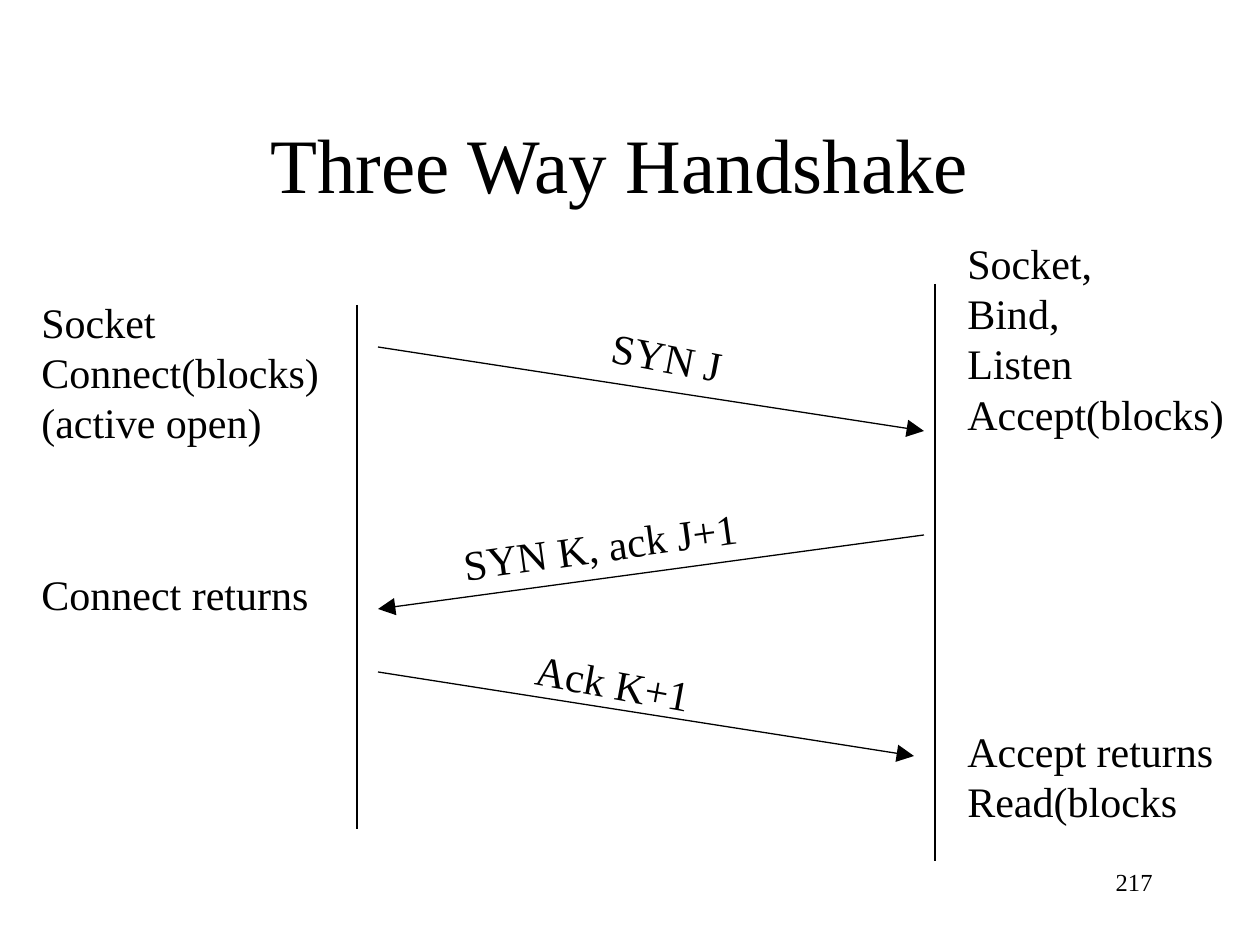
"""Build the three way handshake sequence diagram slide."""
from typing import NamedTuple

from lxml import etree
from pptx import Presentation
from pptx import util as u
from pptx.dml.color import RGBColor
from pptx.enum import shapes, text
from pptx.oxml import ns

EMU_PER_PX = 914400 / 126
FONT = "Times New Roman"
COLORS = {"ink": "000000"}


class Box(NamedTuple):
    left: int
    top: int
    width: int
    height: int


class Label(NamedTuple):
    box: Box
    lines: tuple[str, ...]
    rotation: float = 0


class Line(NamedTuple):
    start: tuple[int, int]
    end: tuple[int, int]
    arrow: bool = False


LINES = [
    Line((357, 305), (357, 829)),
    Line((935, 284), (935, 861)),
    Line((378, 347), (924, 431), True),
    Line((924, 535), (378, 609), True),
    Line((378, 672), (914, 756), True),
]
LABELS = [
    Label(Box(29, 290, 308, 164), ("Socket", "Connect(blocks)", "(active open)")),
    Label(Box(29, 562, 298, 63), ("Connect returns",)),
    Label(Box(955, 231, 287, 214), ("Socket,", "Bind,", "Listen", "Accept(blocks)")),
    Label(Box(955, 719, 277, 113), ("Accept returns", "Read(blocks")),
    Label(Box(599, 325, 138, 63), ("SYN J",), 11),
    Label(Box(450, 514, 303, 63), ("SYN K, ack J+1",), 352.1),
    Label(Box(523, 651, 184, 63), ("Ack K+1",), 10.4),
]


def px(length: int) -> u.Emu:
    """Turn whole px into EMU."""
    return u.Emu(round(length * EMU_PER_PX))


def color(name: str) -> RGBColor:
    """Look up a named colour."""
    return RGBColor.from_string(COLORS[name])


def add_run(paragraph, words: str, size: int) -> None:
    """Append one formatted run."""
    run = paragraph.add_run()
    run.text = words
    run.font.size = u.Pt(size)
    run.font.name = FONT
    run.font.color.rgb = color("ink")


def add_title(slide, box: Box, words: str) -> None:
    """Place and fill the title placeholder."""
    title = slide.shapes.title
    title.left, title.top, title.width, title.height = map(px, box)
    frame = title.text_frame
    frame.vertical_anchor = text.MSO_ANCHOR.MIDDLE
    frame.auto_size = text.MSO_AUTO_SIZE.NONE
    paragraph = frame.paragraphs[0]
    paragraph.alignment = text.PP_ALIGN.CENTER
    add_run(paragraph, words, 44)


def add_line(slide, line: Line) -> None:
    """Draw a lifeline or a message arrow."""
    connector = slide.shapes.add_connector(
        shapes.MSO_CONNECTOR.STRAIGHT, *map(px, line.start + line.end))
    connector.line.color.rgb = color("ink")
    connector.line.width = u.Pt(0.75)
    if line.arrow:
        outline = connector.line._get_or_add_ln()
        etree.SubElement(
            outline, ns.qn("a:tailEnd"), type="triangle", w="lg", len="lg")
    etree.SubElement(connector._element.spPr, ns.qn("a:effectLst"))


def add_label(slide, label: Label) -> None:
    """Write a label, one paragraph per line."""
    shape = slide.shapes.add_textbox(*map(px, label.box))
    shape.rotation = label.rotation
    frame = shape.text_frame
    frame.word_wrap = False
    frame.auto_size = text.MSO_AUTO_SIZE.SHAPE_TO_FIT_TEXT
    for index, words in enumerate(label.lines):
        paragraph = frame.add_paragraph() if index else frame.paragraphs[0]
        paragraph.line_spacing = u.Pt(28.8)
        add_run(paragraph, words, 24)


def add_page_number(slide, box: Box, number: str) -> None:
    """Write the right-aligned page number."""
    frame = slide.shapes.add_textbox(*map(px, box)).text_frame
    frame.word_wrap = True
    paragraph = frame.paragraphs[0]
    paragraph.alignment = text.PP_ALIGN.RIGHT
    add_run(paragraph, number, 14)


def main() -> None:
    """Build and save the presentation."""
    presentation = Presentation()
    presentation.slide_width, presentation.slide_height = px(1260), px(945)
    slide = presentation.slides.add_slide(presentation.slide_layouts[5])
    add_title(slide, Box(84, 84, 1071, 158), "Three Way Handshake")
    for line in LINES:
        add_line(slide, line)
    for label in LABELS:
        add_label(slide, label)
    add_page_number(slide, Box(903, 861, 262, 63), "217")
    presentation.save("out.pptx")


if __name__ == "__main__":
    main()
